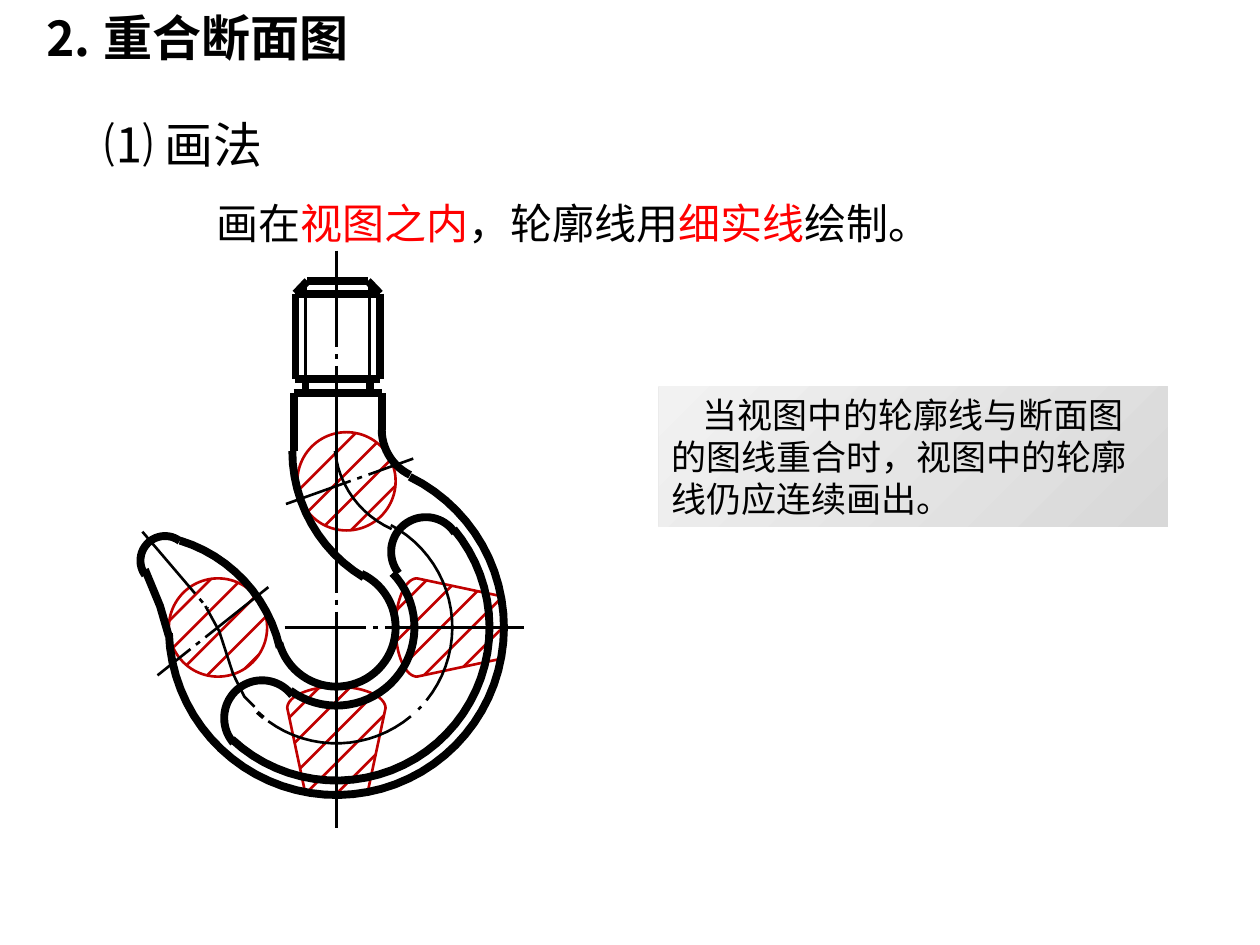
import math

from lxml import etree
from pptx import Presentation
from pptx.dml import color
from pptx.enum import shapes, text
from pptx.oxml import ns
from pptx.util import Inches, Pt

rgb = color.RGBColor.from_string
THEME = {
    "font": "Noto Sans CJK SC",
    "ink": rgb("000000"), "accent": rgb("FF0000"), "section": rgb("C00000"),
    "note_dark": rgb("D8D8D8"), "note_light": rgb("F2F2F2"),
    "heading": Pt(28), "body": Pt(24), "note": Pt(20),
    "thick": Pt(4.5), "medium": Pt(2.25), "thin": Pt(1.5),
}

presentation = Presentation()
presentation.slide_width, presentation.slide_height = Inches(10), Inches(7.5)
slide = presentation.slides.add_slide(presentation.slide_layouts[6])
column = presentation.slide_width // 1000
row = presentation.slide_height // 750


def trace(points, ink="ink", weight="thick"):
    places = [(round(x * column), round(y * row)) for x, y in points]
    if len(places) == 2:
        shape = slide.shapes.add_connector(shapes.MSO_CONNECTOR.STRAIGHT, *places[0], *places[1])
        etree.SubElement(shape.line._get_or_add_ln().getparent(), ns.qn("a:effectLst"))
    else:
        builder = slide.shapes.build_freeform(*places[0])
        builder.add_line_segments(places[1:], close=False)
        shape = builder.convert_to_shape()
        shape.fill.background()
        shape.shadow.inherit = False
    shape.line.color.rgb = THEME[ink]
    shape.line.width = THEME[weight]


def arc(center, radius, start, end):
    steps = max(2, math.ceil(abs(end - start) / 5))
    angles = [math.radians(start + (end - start) * step / steps) for step in range(steps + 1)]
    return [(center[0] + radius * math.cos(angle), center[1] + radius * math.sin(angle))
            for angle in angles]


title = slide.shapes.add_textbox(16 * column, 1 * row, 435 * column, 57 * row)
rule = slide.shapes.add_textbox(162 * column, 152 * row, 874 * column, 50 * row)
method = slide.shapes.add_textbox(21 * column, 86 * row, 249 * column, 57 * row)
note = slide.shapes.add_shape(shapes.MSO_SHAPE.RECTANGLE,
                              523 * column, 307 * row, 404 * column, 111 * row)
note.shadow.inherit = False
note.line.fill.background()
note.fill.gradient()
note.fill.gradient_angle = 135
for stop, shade in zip(note.fill.gradient_stops, ("note_dark", "note_light")):
    stop.color.rgb = THEME[shade]

top, middle = text.MSO_ANCHOR.TOP, text.MSO_ANCHOR.MIDDLE
left, centered = text.PP_ALIGN.LEFT, text.PP_ALIGN.CENTER
rule_runs = [("画在", "ink"), ("视图之内", "accent"), ("，轮廓线用", "ink"),
             ("细实线", "accent"), ("绘制。", "ink")]
note_runs = [("当视图中的轮廓线与断面图的图线重合时，视图中的轮廓线仍应连续画出。", "ink")]
for box, runs, size, anchor, alignment, bold in [
    (title, [(" ⒉ 重合断面图", "ink")], "heading", top, left, True),
    (rule, rule_runs, "body", middle, left, False),
    (method, [("⑴ 画法", "ink")], "heading", middle, centered, False),
    (note, note_runs, "note", top, left, False),
]:
    frame_format = {"word_wrap": True, "vertical_anchor": anchor,
                    "auto_size": text.MSO_AUTO_SIZE.SHAPE_TO_FIT_TEXT}
    font_format = {"name": THEME["font"], "size": THEME[size], "bold": bold}
    for name, value in frame_format.items():
        setattr(box.text_frame, name, value)
    paragraph = box.text_frame.paragraphs[0]
    paragraph.alignment = alignment
    for words, ink in runs:
        run = paragraph.add_run()
        run.text = words
        for name, value in font_format.items():
            setattr(run.font, name, value)
        run.font.color.rgb = THEME[ink]
        etree.SubElement(run._r.get_or_add_rPr(), ns.qn("a:ea"), typeface=THEME["font"])
note.text_frame.paragraphs[0]._p.get_or_add_pPr().set("indent", str(25 * column))

bow_center = bow_x, bow_y = 267, 498
outer_radius, inner_radius = 133, 47
groove_outer_radius, groove_inner_radius = 121.5, 62
spine_radius = 92

section_radius = 39
round_centers = [(173, 498), (275, 382)]
wedge_start, wedge_shoulder, wedge_end = 47, 64, 130
wedge_half_width, wedge_end_half_width = 39, 25
bulge_depth = wedge_shoulder - wedge_start
bulge = [(wedge_shoulder + bulge_depth * x, wedge_half_width * y)
         for x, y in arc((0, 0), 1, 90, 270)]
wedge = [(wedge_end, wedge_end_half_width), *bulge, (wedge_end, -wedge_end_half_width)]
right_wedge = [(bow_x + along, bow_y + across) for along, across in wedge]
bottom_wedge = [(bow_x + across, bow_y + along) for along, across in wedge]

for x, y in round_centers:
    oval = slide.shapes.add_shape(
        shapes.MSO_SHAPE.OVAL, (x - section_radius) * column, (y - section_radius) * row,
        2 * section_radius * column, 2 * section_radius * row)
    oval.shadow.inherit = False
    oval.fill.background()
    oval.line.color.rgb = THEME["section"]
    oval.line.width = THEME["thin"]
for edge in (right_wedge, bottom_wedge):
    trace(edge, "section", "thin")

hatch_gap, hatch_count = 24.5, 5
round_outlines = [arc(center, section_radius, 0, 360) for center in round_centers]
for outline, first_sum in [(round_outlines[0], 627), (round_outlines[1], 626),
                           (right_wedge, 799), (bottom_wedge, 799)]:
    for index in range(hatch_count):
        diagonal = first_sum + index * hatch_gap
        crossings = []
        for (x1, y1), (x2, y2) in zip(outline, outline[1:] + outline[:1]):
            before, after = x1 + y1 - diagonal, x2 + y2 - diagonal
            if before * after < 0:
                share = before / (before - after)
                crossings.append((x1 + share * (x2 - x1), y1 + share * (y2 - y1)))
        if len(crossings) >= 2:
            trace([min(crossings), max(crossings)], "section", "thin")

hook_outline = {
    "outer bow": arc(bow_center, outer_radius, -64, 178),
    "inner bow": arc(bow_center, inner_radius, 165, -65),
    "left neck": arc((349, 358), 117, 180, 121),
    "right neck": arc((343, 341), 40, 180, 116),
    "tip back": arc((109, 540), 116, -73, -13),
    "tip nose": arc((131, 445), 19.5, -53, -216),
    "tip front": [(134, 505), (127, 481), (115, 452)],
    "groove outside": arc(bow_center, groove_outer_radius, 133, -40),
    "groove inside": arc(bow_center, groove_inner_radius, 126, -44),
    "groove right cap": arc((338, 438), 27.5, -33, -218),
    "groove left cap": arc((208, 570), 30, 139, 323),
}
for points in hook_outline.values():
    trace(points)

screw_axis = 268
chamfer_top, chamfer_bottom, thread_end, shank_top = 223, 233, 301, 312
chamfer_half, root_half, thread_half, shank_half = 24, 25.5, 33.5, 35
for y, half_width in [(chamfer_top, chamfer_half), (chamfer_bottom, thread_half),
                      (thread_end, thread_half), (shank_top, shank_half)]:
    trace([(screw_axis - half_width, y), (screw_axis + half_width, y)])
for side, shank_bottom in [(-1, 358), (1, 341)]:
    chamfer_x, root_x, thread_x, shank_x = [
        screw_axis + side * half
        for half in (chamfer_half, root_half, thread_half, shank_half)]
    trace([(chamfer_x, chamfer_top), (thread_x, chamfer_bottom)])
    trace([(thread_x, chamfer_bottom), (thread_x, thread_end)])
    trace([(root_x, chamfer_top), (root_x, thread_end)], weight="thin")
    trace([(root_x, thread_end), (root_x, shank_top)])
    trace([(shank_x, shank_top), (shank_x, shank_bottom)])

spine = {
    "shank": (arc((342, 350), 76.5, 174, 114), "thin"),
    "right bow": (arc(bow_center, spine_radius, -62, 39), "thin"),
    "right dot": (arc(bow_center, spine_radius, 43, 45), "thin"),
    "bottom bow": (arc(bow_center, spine_radius, 50, 126), "thin"),
    "left dot": (arc(bow_center, spine_radius, 129, 133), "medium"),
    "tip": ([(202, 561), (194, 553), (185, 535), (174, 501), (163, 481)], "thin"),
}
for points, weight in spine.values():
    trace(points, weight=weight)

dot_half, gap_half = 2, 7.5
chain_lines = {
    "vertical axis": ((bow_x, 199), (bow_x, 657), [84, 279]),
    "horizontal axis": ((226, bow_y), (416, bow_y), [72]),
    "tip cut": ((125, 536), (213, 466), [41]),
    "shank cut": ((227, 400), (328, 364), [62]),
    "tip axis": ((113, 422), (165, 483), [72]),
}
for start, end, dots in chain_lines.values():
    length = math.dist(start, end)
    dash_starts = [0] + [dot + gap_half for dot in dots]
    dash_ends = [dot - gap_half for dot in dots] + [length]
    pieces = list(zip(dash_starts, dash_ends))
    pieces += [(dot - dot_half, dot + dot_half) for dot in dots]
    for piece in pieces:
        trace([[a + (b - a) * distance / length for a, b in zip(start, end)]
               for distance in piece], weight="thin")

presentation.save("out.pptx")
